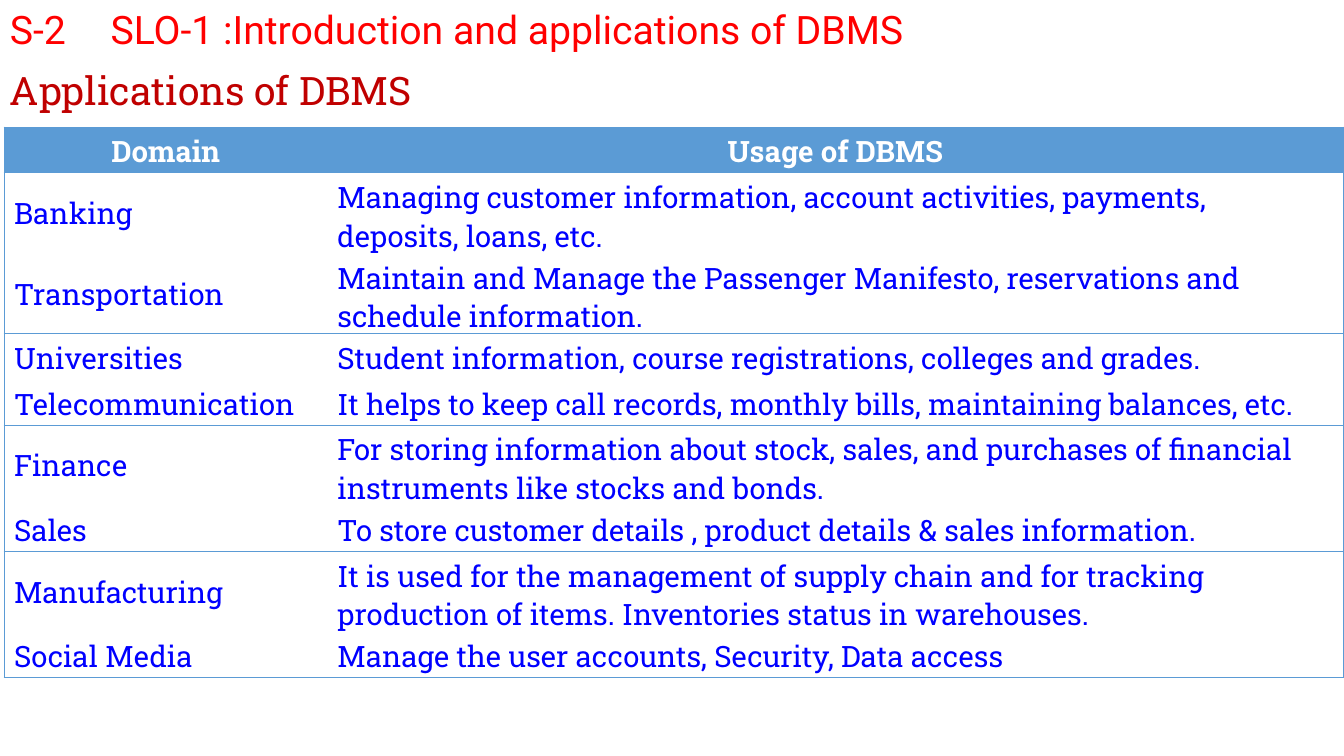
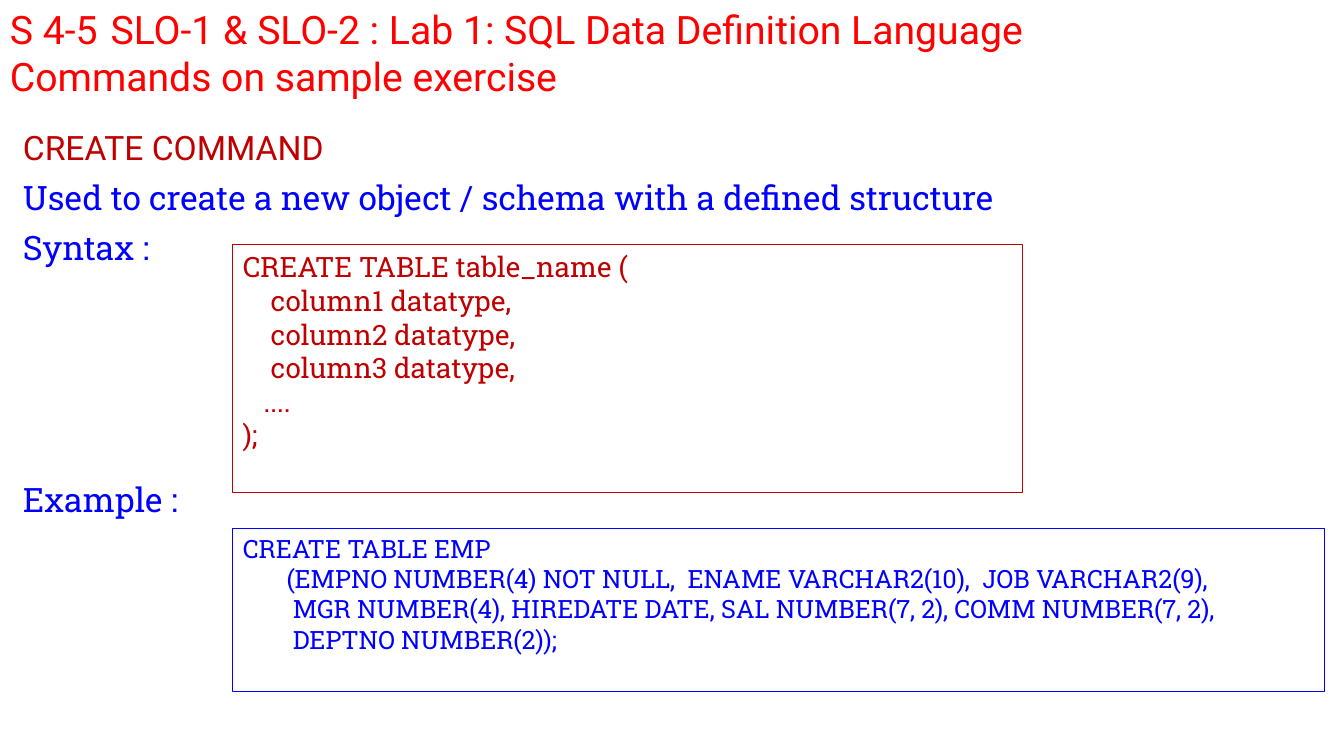
"""Build two DBMS lecture slides: an application table and the CREATE command."""
from lxml import etree
from pptx import Presentation
from pptx.dml.color import RGBColor
from pptx.enum.shapes import MSO_SHAPE
from pptx.enum.text import MSO_ANCHOR, PP_ALIGN
from pptx.oxml.ns import qn
from pptx.util import Cm, Pt

RECTANGLE = MSO_SHAPE.RECTANGLE
TOP, MIDDLE = MSO_ANCHOR.TOP, MSO_ANCHOR.MIDDLE
LEFT, CENTER = PP_ALIGN.LEFT, PP_ALIGN.CENTER

RED = RGBColor(0xFF, 0x00, 0x00)
DARK_RED = RGBColor(0xC0, 0x00, 0x00)
BLUE = RGBColor(0x00, 0x00, 0xFF)
TABLE_BLUE = RGBColor(0x5B, 0x9B, 0xD5)
WHITE = RGBColor(0xFF, 0xFF, 0xFF)

SANS, SLAB = "Roboto", "Roboto Slab"
PLAIN_TABLE_STYLE = "{2D5ABB26-0587-4C30-8999-92F81FD0307C}"
LINE_WIDTH = Pt(0.75)


def write(frame, text, font=SLAB, size=24, color=BLUE, bold=False,
          align=LEFT, spacing=None, before=None):
    """Put text in the frame's next paragraph."""
    paragraph = frame.add_paragraph() if frame.text else frame.paragraphs[0]
    paragraph.alignment = align
    if spacing:
        paragraph.line_spacing = spacing
    if before:
        paragraph.space_before = Pt(before)
    run = paragraph.add_run()
    run.text = text
    run.font.name = font
    run.font.size = Pt(size)
    run.font.bold = bold
    run.font.color.rgb = color


def add_text_frame(slide, left, top, width, height):
    """Add a wrapping text box, measured in centimetres."""
    frame = slide.shapes.add_textbox(Cm(left), Cm(top), Cm(width), Cm(height)).text_frame
    frame.word_wrap = True
    return frame


presentation = Presentation()
presentation.slide_width = Cm(33.87)
presentation.slide_height = Cm(19.05)
blank_layout = presentation.slide_layouts[6]

slides = []
for title in (
    "S-2 \tSLO-1 :Introduction and applications of DBMS",
    "S 4-5\tSLO-1 & SLO-2 : Lab 1: SQL Data Definition Language Commands on sample exercise",
):
    slide = presentation.slides.add_slide(blank_layout)
    write(add_text_frame(slide, 0, 0, 30.48, 2.64), title, font=SANS, size=28, color=RED)
    slides.append(slide)
applications_slide, create_slide = slides

subtitle = add_text_frame(applications_slide, 0, 1.68, 12.19, 2)
write(subtitle, "Applications of DBMS", size=28, color=DARK_RED, spacing=0.9)

ONE_LINE, TWO_LINES = 1.15, 2.03
domain_usages = [
    ("Domain", "Usage of DBMS", ONE_LINE),
    ("Banking", "Managing customer information, account activities, payments, "
     "deposits, loans, etc.", TWO_LINES),
    ("Transportation", "Maintain and Manage the Passenger Manifesto, reservations and "
     "schedule information.", TWO_LINES),
    ("Universities", "Student information, course registrations, colleges and grades.",
     ONE_LINE),
    ("Telecommunication", "It helps to keep call records, monthly bills, maintaining "
     "balances, etc.", ONE_LINE),
    ("Finance", "For storing information about stock, sales, and purchases of financial "
     "instruments like stocks and bonds.", TWO_LINES),
    ("Sales", "To store customer details , product details & sales information.", ONE_LINE),
    ("Manufacturing", "It is used for the management of supply chain and for tracking "
     "production of items. Inventories status in warehouses.", TWO_LINES),
    ("Social Media", "Manage the user accounts, Security, Data access", ONE_LINE),
]
column_widths = (8.15, 25.6)
table_height = sum(height for _, _, height in domain_usages)
usage_table = applications_slide.shapes.add_table(
    len(domain_usages), len(column_widths),
    Cm(0.1), Cm(3.2), Cm(sum(column_widths)), Cm(table_height)).table
usage_table.horz_banding = False
usage_table._tbl.tblPr.find(qn("a:tableStyleId")).text = PLAIN_TABLE_STYLE
for column, width in zip(usage_table.columns, column_widths):
    column.width = Cm(width)

for row_index, (domain, usage, height) in enumerate(domain_usages):
    usage_table.rows[row_index].height = Cm(height)
    is_header = row_index == 0
    for column_index, text in enumerate((domain, usage)):
        cell = usage_table.cell(row_index, column_index)
        cell.vertical_anchor = TOP if is_header else MIDDLE
        write(cell.text_frame, text, size=21, bold=is_header,
              color=WHITE if is_header else BLUE, align=CENTER if is_header else LEFT)
        outer_side = "a:lnL" if column_index == 0 else "a:lnR"
        sides = [outer_side]
        if is_header:
            sides.append("a:lnT")
        if row_index % 2 == 0:
            sides.append("a:lnB")
        for side in sides:
            border = etree.SubElement(cell._tc.get_or_add_tcPr(), qn(side), w=str(LINE_WIDTH))
            border_fill = etree.SubElement(border, qn("a:solidFill"))
            etree.SubElement(border_fill, qn("a:srgbClr"), val=str(TABLE_BLUE))
        if is_header:
            cell.fill.solid()
            cell.fill.fore_color.rgb = TABLE_BLUE
        else:
            cell.fill.background()

explanation = add_text_frame(create_slide, 0.33, 3.18, 29.21, 13.69)
write(explanation, "CREATE COMMAND", font=SANS, color=DARK_RED, spacing=0.9)
for text, before in (
    ("Used to create a new object / schema with a defined structure", 10),
    ("Syntax :", 10),
    ("Example :", 154),
):
    write(explanation, text, spacing=0.9, before=before)

syntax_lines = (
    "CREATE TABLE table_name (",
    "    column1 datatype,",
    "    column2 datatype,",
    "    column3 datatype,",
    "   ....",
    ");",
)
example_lines = (
    "CREATE TABLE EMP",
    "       (EMPNO NUMBER(4) NOT NULL,  ENAME VARCHAR2(10),  JOB VARCHAR2(9),",
    "        MGR NUMBER(4), HIREDATE DATE, SAL NUMBER(7, 2), COMM NUMBER(7, 2),",
    "        DEPTNO NUMBER(2));",
)
for code_lines, top, width, height, size, color in (
    (syntax_lines, 6.17, 19.89, 6.25, 20, DARK_RED),
    (example_lines, 13.31, 27.51, 4.11, 18, BLUE),
):
    code_box = create_slide.shapes.add_shape(
        RECTANGLE, Cm(5.87), Cm(top), Cm(width), Cm(height))
    code_box.shadow.inherit = False
    code_box.fill.background()
    code_box.line.color.rgb = color
    code_box.line.width = LINE_WIDTH
    code_box.text_frame.word_wrap = True
    code_box.text_frame.vertical_anchor = TOP
    for code_line in code_lines:
        write(code_box.text_frame, code_line, size=size, color=color)

presentation.save("out.pptx")
